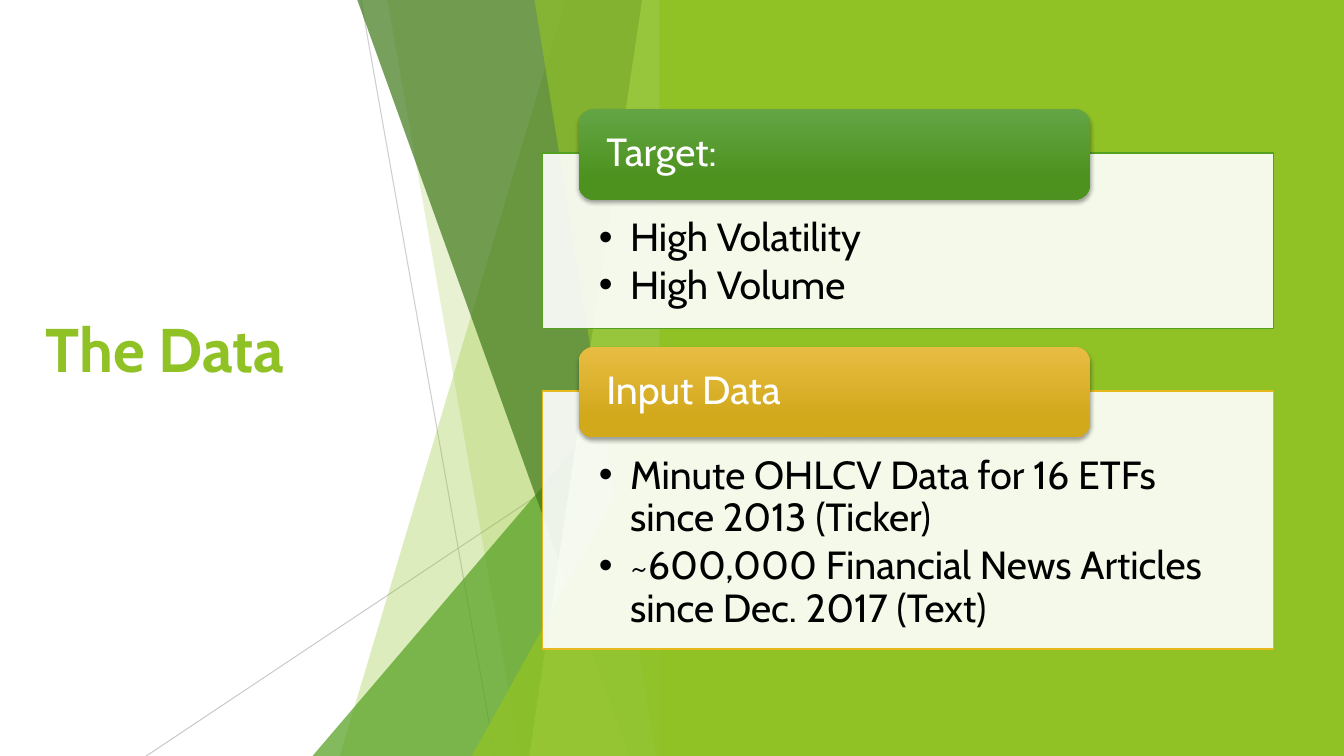
from lxml import etree
from pptx import Presentation
from pptx.dml.color import RGBColor
from pptx.enum.shapes import MSO_CONNECTOR, MSO_SHAPE
from pptx.enum.text import MSO_ANCHOR, MSO_AUTO_SIZE, PP_ALIGN
from pptx.oxml.ns import qn
from pptx.util import Inches, Pt

RECT, ROUNDED = MSO_SHAPE.RECTANGLE, MSO_SHAPE.ROUNDED_RECTANGLE
TRIANGLE, STRAIGHT = MSO_SHAPE.ISOSCELES_TRIANGLE, MSO_CONNECTOR.STRAIGHT
TOP, MIDDLE, LEFT = MSO_ANCHOR.TOP, MSO_ANCHOR.MIDDLE, PP_ALIGN.LEFT
COLORS = {
    "lime": "90C226", "green": "54A021", "forest": "3F7819", "pale": "C0E474",
    "gold": "E6B91E", "gray": "BFBFBF", "white": "FFFFFF", "black": "000000",
}


def paint(fill, color, alpha=100):
    """Fill with one colour at the given opacity in percent."""
    fill.solid()
    fill.fore_color.rgb = RGBColor.from_string(COLORS[color])
    if alpha < 100:
        clr = next(fill._xPr.iter(qn("a:srgbClr")))
        etree.SubElement(clr, qn("a:alpha"), val=str(alpha * 1000))


def write(tf, lines, anchor, insets, color, bullets=False):
    """Write 28 pt paragraphs into a text frame."""
    tf.word_wrap, tf.vertical_anchor = True, anchor
    for side, inset in zip(("left", "top", "right", "bottom"), insets):
        setattr(tf, f"margin_{side}", Inches(inset))
    for i, line in enumerate(lines):
        p = tf.paragraphs[0] if i == 0 else tf.add_paragraph()
        p.alignment, p.line_spacing = LEFT, 0.9
        if bullets:
            p.level, p.space_after = 1, Pt(4)
            pPr = p._p.get_or_add_pPr()
            pPr.set("marL", str(Inches(0.31)))
            pPr.set("indent", str(Inches(-0.31)))
            etree.SubElement(pPr, qn("a:buFont"), typeface="Arial")
            etree.SubElement(pPr, qn("a:buChar"), char="•")
        r = p.add_run()
        r.text = line
        r.font.name, r.font.size = "Cabin", Pt(28)
        r.font.color.rgb = RGBColor.from_string(COLORS[color])


prs = Presentation()
prs.slide_width, prs.slide_height = Inches(13.33), Inches(7.5)
s = prs.slides.add_slide(prs.slide_layouts[5])

# Title, raised above the middle by the bottom inset
title = s.shapes.title
title.left, title.top = Inches(0.35), Inches(1.58)
title.width, title.height = Inches(3.88), Inches(4.48)
tf = title.text_frame
tf.auto_size, tf.vertical_anchor = MSO_AUTO_SIZE.NONE, MIDDLE
tf.margin_bottom = Inches(0.78)
p = tf.paragraphs[0]
p.alignment = LEFT
r = p.add_run()
r.text = "The Data"
for name, value in {"name": "Cabin", "size": Pt(44), "bold": True}.items():
    setattr(r.font, name, value)
r.font.color.rgb = RGBColor.from_string(COLORS["lime"])

# Thin lines behind the facets
for x1, y1, x2, y2, alpha in ((3.58, 0, 4.91, 7.5, 75), (6.66, 4.03, 1.45, 7.5, 80)):
    line = s.shapes.add_connector(STRAIGHT, Inches(x1), Inches(y1), Inches(x2), Inches(y2))
    line.line.width = Pt(0.75)
    paint(line.line.fill, "gray", alpha)
    etree.SubElement(line._element.spPr, qn("a:effectLst"))

# Facets: bands give top and bottom x of the slanted side, triangles left and top
FACET_RIGHT, FACET_TOP, FACET_BOTTOM = 6.66, -0.01, 7.5
facets = [
    ("band", 5.61, 3.37, "lime", 30),
    ("band", 3.84, 5.16, "lime", 20),
    ("triangle", 3.1, 3.33, "green", 72),
    ("band", 3.54, 6.24, "forest", 70),
    ("band", 6.37, 5.25, "pale", 70),
    ("band", 5.3, 6.51, "lime", 65),
    ("triangle", 4.68, 3.93, "lime", 80),
]
for kind, a, b, color, alpha in facets:
    if kind == "band":
        corners = [(FACET_RIGHT, FACET_TOP), (FACET_RIGHT, FACET_BOTTOM), (b, FACET_BOTTOM)]
        builder = s.shapes.build_freeform(Inches(a), Inches(FACET_TOP))
        builder.add_line_segments([(Inches(x), Inches(y)) for x, y in corners])
        sp = builder.convert_to_shape()
    else:
        sp = s.shapes.add_shape(TRIANGLE, Inches(a), Inches(b),
                                Inches(FACET_RIGHT - a), Inches(FACET_BOTTOM - b))
        sp.adjustments[0] = 1
    sp.shadow.inherit = False
    sp.line.fill.background()
    paint(sp.fill, color, alpha)

# Green panel on the right
panel = s.shapes.add_shape(RECT, Inches(6.54), 0, Inches(6.8), Inches(7.5))
panel.shadow.inherit = False
panel.line.fill.background()
paint(panel.fill, "lime")

# Cards: white body with bullets, coloured header overlapping its top edge
cards = [
    ("Target:", ["High Volatility", "High Volume"],
     1.52, 1.74, "green", ("63A545", "4D921E")),
    ("Input Data", ["Minute OHLCV Data for 16 ETFs since 2013 (Ticker)",
                    "~600,000 Financial News Articles since Dec. 2017 (Text)"],
     3.88, 2.56, "gold", ("E7BC43", "D2A91B")),
]
for heading, items, top, height, color, shades in cards:
    body = s.shapes.add_shape(RECT, Inches(5.38), Inches(top), Inches(7.25), Inches(height))
    body.shadow.inherit = False
    paint(body.fill, "white", 90)
    paint(body.line.fill, color)
    body.line.width = Pt(1)
    write(body.text_frame, items, TOP, (0.56, 0.64, 0.56, 0.22), "black", bullets=True)

    header = s.shapes.add_shape(ROUNDED, Inches(5.74), Inches(top - 0.44), Inches(5.07), Inches(0.9))
    header.line.fill.background()
    header.fill.gradient()
    header.fill.gradient_angle = 270
    for stop, shade, position in zip(header.fill.gradient_stops, shades, (0, 0.78)):
        stop.color.rgb = RGBColor.from_string(shade)
        stop.position = position
    header.shadow.inherit = False
    effects = header._element.spPr.find(qn("a:effectLst"))
    shadow = etree.SubElement(effects, qn("a:outerShdw"), blurRad=str(Pt(3)), dist=str(Pt(2)),
                              dir="5400000", rotWithShape="0")
    clr = etree.SubElement(shadow, qn("a:srgbClr"), val=COLORS["black"])
    etree.SubElement(clr, qn("a:alpha"), val="35000")
    write(header.text_frame, [heading], MIDDLE, (0.23, 0, 0.23, 0), "white")

prs.save("out.pptx")
